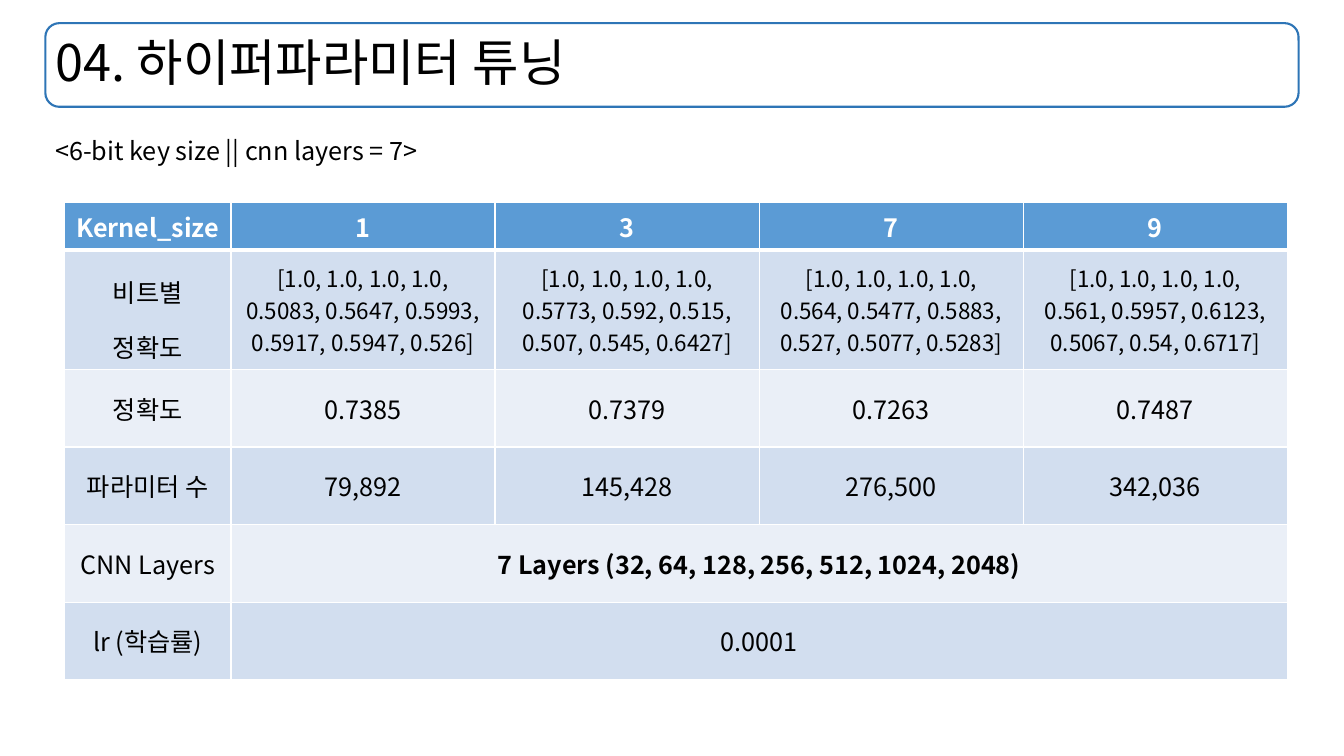
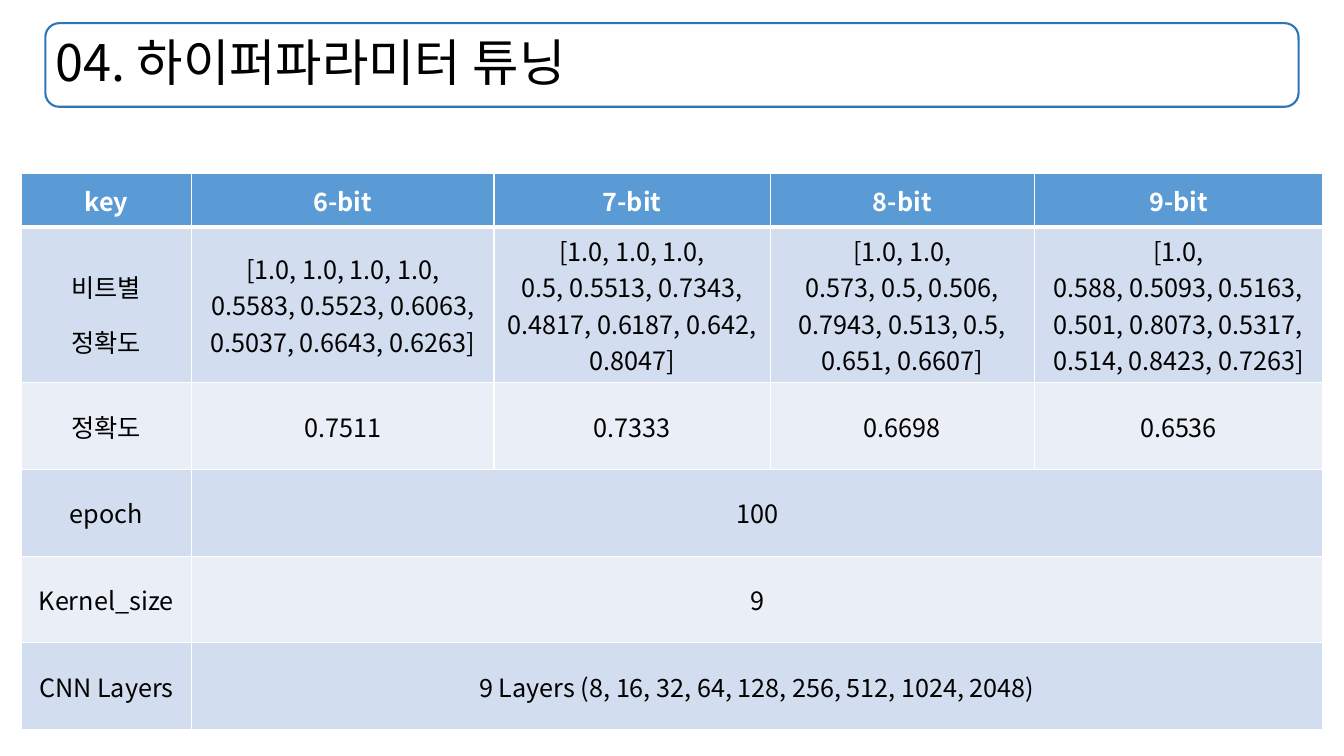
from dataclasses import dataclass

from lxml.etree import SubElement
from pptx import Presentation
from pptx.dml.color import RGBColor
from pptx.enum.shapes import MSO_SHAPE
from pptx.enum.text import MSO_ANCHOR, MSO_AUTO_SIZE, PP_ALIGN
from pptx.oxml.ns import qn
from pptx.util import Emu, Pt

SCALE = 9144  # EMU in one px, 100 px to the inch
FONT = "Noto Sans CJK KR"
BLACK = RGBColor(0x00, 0x00, 0x00)
WHITE = RGBColor(0xFF, 0xFF, 0xFF)
EDGE = RGBColor(0x2E, 0x75, 0xB6)
HEAD = RGBColor(0x5B, 0x9B, 0xD5)
BANDS = (RGBColor(0xD2, 0xDE, 0xEF), RGBColor(0xEA, 0xEF, 0xF7))


def px(count: int) -> Emu:
    return Emu(count * SCALE)


@dataclass(frozen=True)
class Box:
    left: int
    top: int
    width: int
    height: int

    def emu(self) -> tuple[Emu, ...]:
        return tuple(map(px, (self.left, self.top, self.width, self.height)))


@dataclass(frozen=True)
class Style:
    size: int = 18
    bold: bool = False
    color: RGBColor = BLACK
    align: PP_ALIGN = PP_ALIGN.CENTER
    lead: float = 1.0


@dataclass(frozen=True)
class Cell:
    text: str
    style: Style = Style()


@dataclass(frozen=True)
class Grid:
    """A table; a body row with two cells spans its second one to the edge."""
    left: int
    top: int
    cols: tuple[int, ...]
    highs: tuple[int, ...]
    rows: tuple[tuple[Cell, ...], ...]


@dataclass(frozen=True)
class Page:
    grid: Grid
    note: str = ""


TITLE = "04. 하이퍼파라미터 튜닝"
FRAME = Box(45, 23, 1243, 83)
NOTE = Box(45, 114, 400, 51)

TITLED = Style(size=36, align=PP_ALIGN.LEFT, lead=0.9)
NOTED = Style(align=PP_ALIGN.LEFT, lead=1.5)
HEADED = Style(bold=True, color=WHITE)
LOOSE = Style(lead=1.5)
SMALL = Style(size=16)
PLAIN = Style()
BOLD = Style(bold=True)


def cells(*texts: str, style: Style = PLAIN) -> tuple[Cell, ...]:
    return tuple(Cell(text, style) for text in texts)


BITS = cells("비트별\n정확도", style=LOOSE)

KERNEL = Grid(64, 201, (165,) + (262,) * 4, (47, 92) + (77,) * 4, (
    cells("Kernel_size", "1", "3", "7", "9", style=HEADED),
    BITS + cells(
        "[1.0, 1.0, 1.0, 1.0,\n0.5083, 0.5647, 0.5993,\n0.5917, 0.5947, 0.526]",
        "[1.0, 1.0, 1.0, 1.0,\n0.5773, 0.592, 0.515,\n0.507, 0.545, 0.6427]",
        "[1.0, 1.0, 1.0, 1.0,\n0.564, 0.5477, 0.5883,\n0.527, 0.5077, 0.5283]",
        "[1.0, 1.0, 1.0, 1.0,\n0.561, 0.5957, 0.6123,\n0.5067, 0.54, 0.6717]",
        style=SMALL),
    cells("정확도", "0.7385", "0.7379", "0.7263", "0.7487"),
    cells("파라미터 수", "79,892", "145,428", "276,500", "342,036"),
    cells("CNN Layers")
    + cells("7 Layers (32, 64, 128, 256, 512, 1024, 2048)", style=BOLD),
    cells("lr (학습률)", "0.0001"),
))

KEYS = Grid(21, 172, (169, 300, 274, 262, 286), (53,) + (86,) * 5, (
    cells("key", "6-bit", "7-bit", "8-bit", "9-bit", style=HEADED),
    BITS + cells(
        "[1.0, 1.0, 1.0, 1.0,\n0.5583, 0.5523, 0.6063,\n0.5037, 0.6643, 0.6263]",
        "[1.0, 1.0, 1.0,\n0.5, 0.5513, 0.7343,\n0.4817, 0.6187, 0.642, 0.8047]",
        "[1.0, 1.0,\n0.573, 0.5, 0.506,\n0.7943, 0.513, 0.5,\n0.651, 0.6607]",
        "[1.0,\n0.588, 0.5093, 0.5163,\n0.501, 0.8073, 0.5317,\n"
        "0.514, 0.8423, 0.7263]"),
    cells("정확도", "0.7511", "0.7333", "0.6698", "0.6536"),
    cells("epoch", "100"),
    cells("Kernel_size", "9"),
    cells("CNN Layers", "9 Layers (8, 16, 32, 64, 128, 256, 512, 1024, 2048)"),
))

PAGES = (Page(KERNEL, "<6-bit key size || cnn layers = 7>"), Page(KEYS))


def write(frame, text: str, style: Style) -> None:
    for index, line in enumerate(text.split("\n")):
        para = frame.add_paragraph() if index else frame.paragraphs[0]
        para.alignment = style.align
        para.line_spacing = style.lead
        run = para.add_run()
        run.text = line
        font = run.font
        font.size = Pt(style.size)
        font.bold = style.bold
        font.color.rgb = style.color
        font.name = FONT
        SubElement(font.element if hasattr(font, "element") else run._r.get_or_add_rPr(),
                   qn("a:ea"), typeface=FONT)


def border(cell, row: int) -> None:
    """Rule the cell in white, thicker between header and body."""
    props = cell._tc.get_or_add_tcPr()
    thick = {"T": row == 1, "B": row == 0}
    for side in "LRTB":
        width = Pt(3 if thick.get(side) else 1)
        line = SubElement(props, qn(f"a:ln{side}"), w=str(width))
        fill = SubElement(line, qn("a:solidFill"))
        SubElement(fill, qn("a:srgbClr"), val=str(WHITE))


def draw_grid(slide, grid: Grid) -> None:
    box = Box(grid.left, grid.top, sum(grid.cols), sum(grid.highs))
    table = slide.shapes.add_table(
        len(grid.highs), len(grid.cols), *box.emu()).table
    for col, width in zip(table.columns, grid.cols):
        col.width = px(width)
    last = len(grid.cols) - 1
    for r, (high, row) in enumerate(zip(grid.highs, grid.rows)):
        table.rows[r].height = px(high)
        if len(row) == 2:
            table.cell(r, 1).merge(table.cell(r, last))
        for c in range(last + 1):
            cell = table.cell(r, c)
            border(cell, r)
            cell.fill.solid()
            cell.fill.fore_color.rgb = BANDS[(r - 1) % 2] if r else HEAD
            cell.vertical_anchor = MSO_ANCHOR.MIDDLE
            if c < len(row):
                write(cell.text_frame, row[c].text, row[c].style)


def draw_title(slide) -> None:
    title = slide.shapes.title
    title.left, title.top, title.width, title.height = FRAME.emu()
    frame = title.text_frame
    frame.auto_size = MSO_AUTO_SIZE.NONE
    frame.vertical_anchor = MSO_ANCHOR.MIDDLE
    write(frame, TITLE, TITLED)


def draw_note(slide, text: str) -> None:
    frame = slide.shapes.add_textbox(*NOTE.emu()).text_frame
    frame.word_wrap = True
    frame.auto_size = MSO_AUTO_SIZE.SHAPE_TO_FIT_TEXT
    write(frame, text, NOTED)


def share_frame(slide) -> None:
    """Put the title outline on the layout, so every slide shows it."""
    shape = slide.shapes.add_shape(MSO_SHAPE.ROUNDED_RECTANGLE, *FRAME.emu())
    shape.shadow.inherit = False
    shape.fill.background()
    shape.line.color.rgb = EDGE
    shape.line.width = Pt(1.5)
    shape.element.xpath(".//p:cNvPr")[0].set("id", "20")
    slide.slide_layout.shapes.element.append(shape.element)


def main() -> None:
    deck = Presentation()
    deck.slide_width, deck.slide_height = px(1333), px(750)
    layout = deck.slide_layouts.get_by_name("Title Only")
    for index, page in enumerate(PAGES):
        slide = deck.slides.add_slide(layout)
        if index == 0:
            share_frame(slide)
        draw_title(slide)
        draw_grid(slide, page.grid)
        if page.note:
            draw_note(slide, page.note)
    deck.save("out.pptx")


if __name__ == "__main__":
    main()
